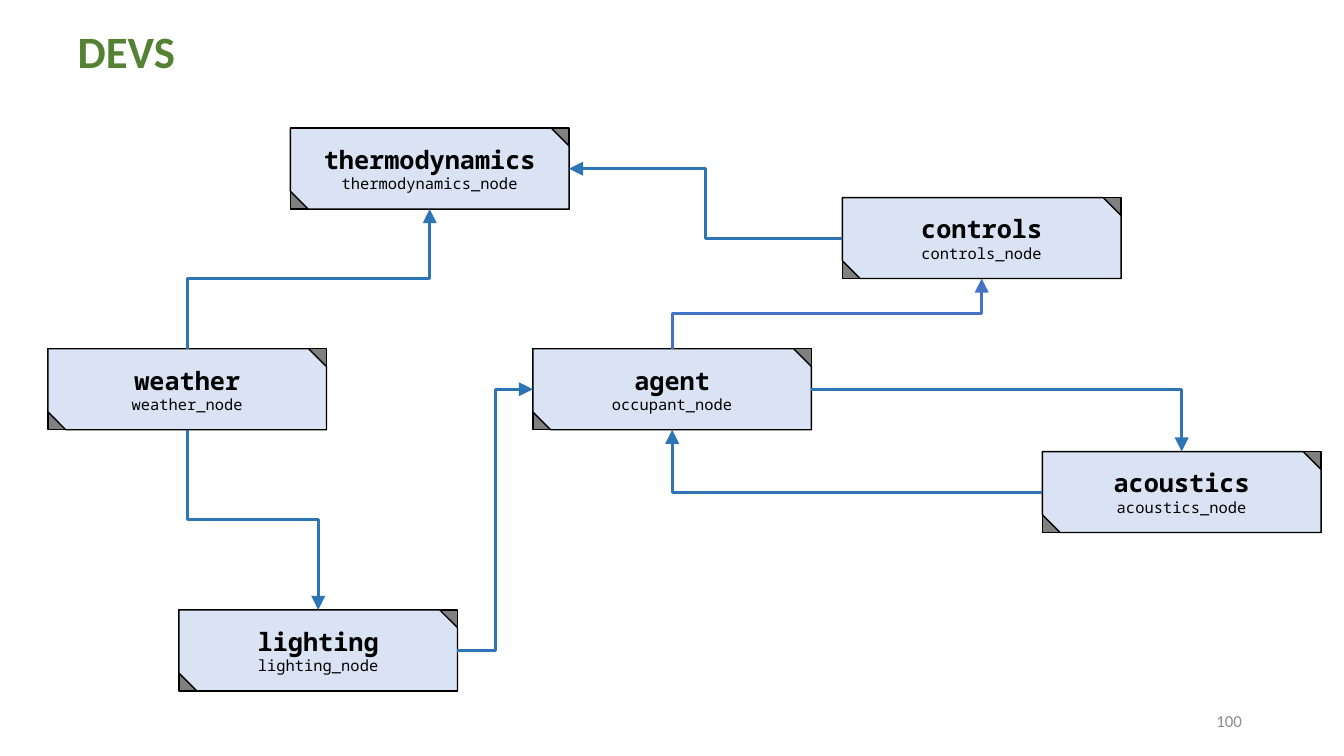
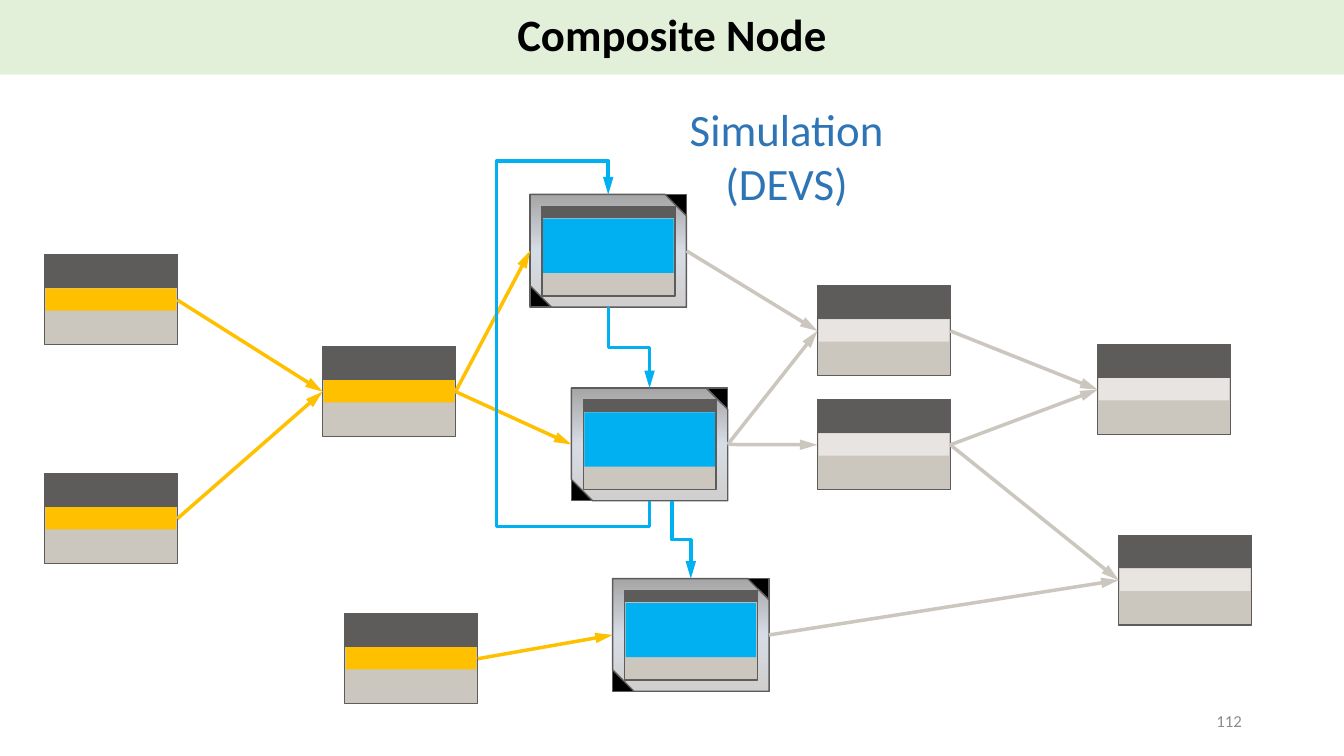
import dataclasses
import copy
import lxml.etree
import pptx
import pptx.dml.color
import pptx.enum.shapes
import pptx.enum.text
import pptx.oxml.ns
import pptx.util

Cm = pptx.util.Cm
Pt = pptx.util.Pt
qn = pptx.oxml.ns.qn
RGB = pptx.dml.color.RGBColor.from_string
SHAPE = pptx.enum.shapes.MSO_SHAPE
CONNECTOR = pptx.enum.shapes.MSO_CONNECTOR
ALIGN = pptx.enum.text.PP_ALIGN
ANCHOR = pptx.enum.text.MSO_ANCHOR
AUTO_SIZE = pptx.enum.text.MSO_AUTO_SIZE
TOP, LEFT, BOTTOM, RIGHT = range(4)
SIDES = {TOP: (0.5, 0), LEFT: (0, 0.5), BOTTOM: (0.5, 1), RIGHT: (1, 0.5)}


@dataclasses.dataclass(frozen=True)
class Theme:
    font: str = "Calibri"
    mono: str = "Noto Sans Mono"
    title_size: int = 32
    node_size: int = 18
    detail_size: int = 11
    number_size: int = 12
    black: str = "000000"
    green: str = "548235"
    band: str = "E2F0D9"
    number: str = "8C8C8C"
    node: str = "DAE3F3"
    corner: str = "808080"
    blue: str = "2E75B6"
    control: str = "4472C4"
    cyan: str = "00B0F0"
    yellow: str = "FFC000"
    header: str = "5E5C5A"
    body: str = "CBC6BE"
    pale: str = "E7E4E1"
    frame_stops: tuple = ("D0CECE", "D6DCE5", "A5A5A5")


@dataclasses.dataclass(frozen=True)
class Link:
    slide: object
    start: object
    start_side: int
    end: object
    end_side: int
    colour: str
    width: float
    head: str
    bent: bool = True
    shift: float = 0
    adjusts: tuple = ()


theme = Theme()


def write(frame, text, size, colour, font=theme.font, bold=False,
          align=ALIGN.LEFT, anchor=ANCHOR.MIDDLE, spacing=None):
    paragraph = frame.add_paragraph() if frame.text else frame.paragraphs[0]
    frame.word_wrap = True
    frame.vertical_anchor = anchor
    paragraph.alignment = align
    paragraph.line_spacing = spacing
    run = paragraph.add_run()
    run.text = text
    run.font.name = font
    run.font.size = Pt(size)
    run.font.bold = bold
    run.font.color.rgb = RGB(colour)


def block(slide, kind, x, y, width, height, fill, line=None):
    shape = slide.shapes.add_shape(kind, Cm(x), Cm(y), Cm(width), Cm(height))
    shape.shadow.inherit = False
    shape.fill.solid()
    shape.fill.fore_color.rgb = RGB(fill)
    if line:
        shape.line.color.rgb = RGB(line)
        shape.line.width = Pt(1)
    else:
        shape.line.fill.background()
    return shape


deck = pptx.Presentation()
deck.slide_width, deck.slide_height = Cm(33.87), Cm(19.05)

slides = []
for heading, page, box, colour, align, band in (
    ("DEVS", "100", (1.7, 0.43, 14.5, 1.88), theme.green, ALIGN.LEFT, None),
    ("Composite Node", "112", (0, 0, 33.87, 1.88), theme.black, ALIGN.CENTER, theme.band),
):
    slide = deck.slides.add_slide(deck.slide_layouts[5])
    title = slide.shapes.title
    title.left, title.top, title.width, title.height = map(Cm, box)
    title.text_frame.auto_size = AUTO_SIZE.NONE
    write(title.text_frame, heading, theme.title_size, colour, bold=True, align=align, spacing=0.9)
    if band:
        title.fill.solid()
        title.fill.fore_color.rgb = RGB(band)
    page_number = slide.shapes.add_textbox(Cm(23.93), Cm(17.65), Cm(7.62), Cm(1.01))
    write(page_number.text_frame, page, theme.number_size, theme.number, align=ALIGN.RIGHT)
    slides.append(slide)
devs, composite = slides

models = {}
for name, detail, x, y in (
    ("thermodynamics", "thermodynamics_node", 7.32, 3.23),
    ("acoustics", "acoustics_node", 26.27, 11.38),
    ("lighting", "lighting_node", 4.51, 15.37),
    ("agent", "occupant_node", 13.43, 8.79),
    ("controls", "controls_node", 21.23, 4.98),
    ("weather", "weather_node", 1.21, 8.79),
):
    models[name] = block(devs, SHAPE.RECTANGLE, x, y, 7.02, 2.04, theme.corner, theme.black)
    card = block(devs, SHAPE.SNIP_2_DIAG_RECTANGLE, x, y, 7.02, 2.04, theme.node, theme.black)
    card.adjustments[0], card.adjustments[1] = 0, 0.22
    write(card.text_frame, name, theme.node_size, theme.black, font=theme.mono,
          bold=True, align=ALIGN.CENTER)
    write(card.text_frame, detail, theme.detail_size, theme.black, font=theme.mono,
          align=ALIGN.CENTER)

links = [
    Link(devs, models[start], start_side, models[end], end_side, colour, 2, "lg")
    for start, start_side, end, end_side, colour in (
        ("agent", TOP, "controls", BOTTOM, theme.control),
        ("controls", LEFT, "thermodynamics", RIGHT, theme.blue),
        ("weather", TOP, "thermodynamics", BOTTOM, theme.blue),
        ("weather", BOTTOM, "lighting", TOP, theme.blue),
        ("lighting", RIGHT, "agent", LEFT, theme.blue),
        ("agent", RIGHT, "acoustics", TOP, theme.blue),
        ("acoustics", LEFT, "agent", BOTTOM, theme.blue),
    )
]

simulation = composite.shapes.add_textbox(Cm(15.52), Cm(2.44), Cm(8.61), Cm(3))
simulation.text_frame.auto_size = AUTO_SIZE.SHAPE_TO_FIT_TEXT
for line in ("Simulation", "(DEVS)"):
    write(simulation.text_frame, line, theme.title_size, theme.blue,
          align=ALIGN.CENTER, anchor=ANCHOR.TOP)

nodes = {}
for name, x, y, colour in (
    ("input upper", 1.12, 6.43, theme.yellow),
    ("input lower", 1.12, 11.94, theme.yellow),
    ("merge", 8.13, 8.74, theme.yellow),
    ("side input", 8.69, 15.47, theme.yellow),
    ("output upper", 20.6, 7.21, theme.pale),
    ("output lower", 20.6, 10.08, theme.pale),
    ("result upper", 27.66, 8.69, theme.pale),
    ("result lower", 28.19, 13.49, theme.pale),
    ("first", 13.36, 4.9, theme.cyan),
    ("second", 14.4, 9.78, theme.cyan),
    ("third", 15.44, 14.58, theme.cyan),
):
    header_height, band_height = 0.81, 0.56
    if colour == theme.cyan:
        header_height, band_height = 0.28, 1.37
        nodes[name] = block(composite, SHAPE.RECTANGLE, x, y, 3.94, 2.84, theme.black, theme.header)
        frame = block(composite, SHAPE.SNIP_2_DIAG_RECTANGLE, x, y, 3.94, 2.84,
                      theme.body, theme.header)
        frame.adjustments[0], frame.adjustments[1] = 0, 0.19
        frame.fill.gradient()
        frame.fill.gradient_angle = 90
        stops = frame.element.spPr.find(qn("a:gradFill")).find(qn("a:gsLst"))
        stops.append(copy.deepcopy(stops[-1]))
        for index, stop in enumerate(frame.fill.gradient_stops):
            stop.position = index / 2
            stop.color.rgb = RGB(theme.frame_stops[index])
        x, y = x + 0.3, y + 0.3
    body = block(composite, SHAPE.RECTANGLE, x, y, 3.35, 2.26, theme.body, theme.header)
    block(composite, SHAPE.RECTANGLE, x, y, 3.35, header_height, theme.header, theme.header)
    block(composite, SHAPE.RECTANGLE, x + 0.03, y + header_height + 0.03, 3.29, band_height, colour)
    nodes.setdefault(name, body)

for colour, pairs in (
    (theme.yellow, (
        ("input upper", "merge"), ("input lower", "merge"), ("merge", "first"),
        ("merge", "second"), ("side input", "third"),
    )),
    (theme.body, (
        ("first", "output upper"), ("second", "output upper"), ("second", "output lower"),
        ("output upper", "result upper"), ("output lower", "result upper"),
        ("output lower", "result lower"), ("third", "result lower"),
    )),
):
    for start, end in pairs:
        links.append(Link(composite, nodes[start], RIGHT, nodes[end], LEFT,
                          colour, 2.5, "med", bent=False))

for start, end, shift, adjusts in (
    ("first", "second", 0, ()),
    ("second", "third", 0.56, ()),
    ("second", "first", 0, (-8400, 370500, 111000)),
):
    links.append(Link(composite, nodes[start], BOTTOM, nodes[end], TOP, theme.cyan, 2.5, "med",
                      shift=shift, adjusts=adjusts))

for link in links:
    (x1, y1), (x2, y2) = (
        (int(shape.left + shape.width * SIDES[side][0]), int(shape.top + shape.height * SIDES[side][1]))
        for shape, side in ((link.start, link.start_side), (link.end, link.end_side))
    )
    x1 += Cm(link.shift)
    kind = CONNECTOR.ELBOW if link.bent else CONNECTOR.STRAIGHT
    connector = link.slide.shapes.add_connector(kind, x1, y1, x2, y2)
    properties = connector.element.spPr
    if link.bent:
        dx, dy = x2 - x1, y2 - y1
        width, height = abs(dx), abs(dy)
        upright = link.start_side in (TOP, BOTTOM)
        if upright:
            width, height = height, width
            rotation = 90 if dy < 0 else 270
        else:
            rotation = 0 if dx > 0 else 180
        connector.left, connector.top = (x1 + x2 - width) // 2, (y1 + y2 - height) // 2
        connector.width, connector.height = width, height
        transform = properties.find(qn("a:xfrm"))
        transform.set("rot", str(rotation * 60000))
        transform.set("flipH", str(int(upright)))
        transform.set("flipV", str(int((dx > 0) != (dy > 0))))
        geometry = properties.find(qn("a:prstGeom"))
        if link.adjusts:
            geometry.set("prst", "bentConnector5")
        elif link.start_side % 2 != link.end_side % 2:
            geometry.set("prst", "bentConnector2")
        for index, value in enumerate(link.adjusts, 1):
            lxml.etree.SubElement(geometry.find(qn("a:avLst")), qn("a:gd"),
                                  name=f"adj{index}", fmla=f"val {value}")
    else:
        connector.begin_connect(link.start, link.start_side)
        connector.end_connect(link.end, link.end_side)
    connector.line.color.rgb = RGB(link.colour)
    connector.line.width = Pt(link.width)
    lxml.etree.SubElement(properties.find(qn("a:ln")), qn("a:tailEnd"),
                          type="triangle", w=link.head, len="lg")
    lxml.etree.SubElement(properties, qn("a:effectLst"))

deck.save("out.pptx")
